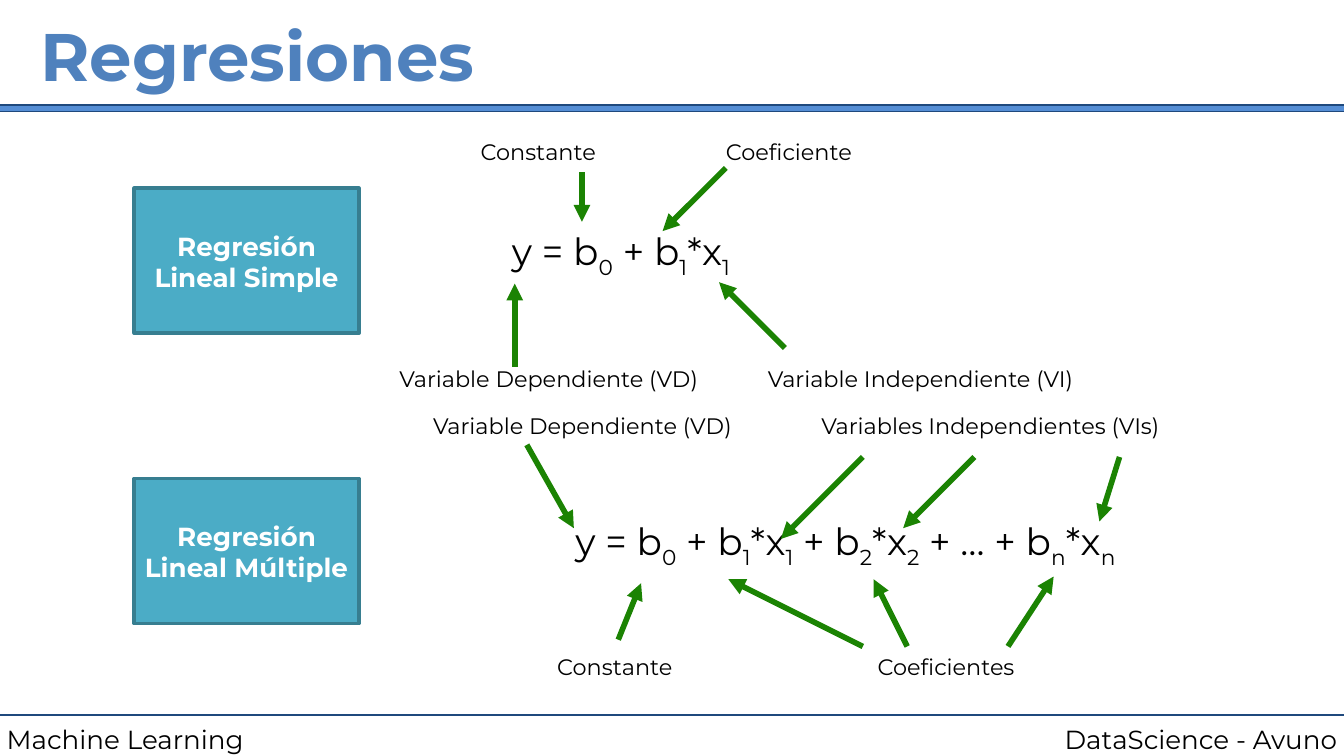
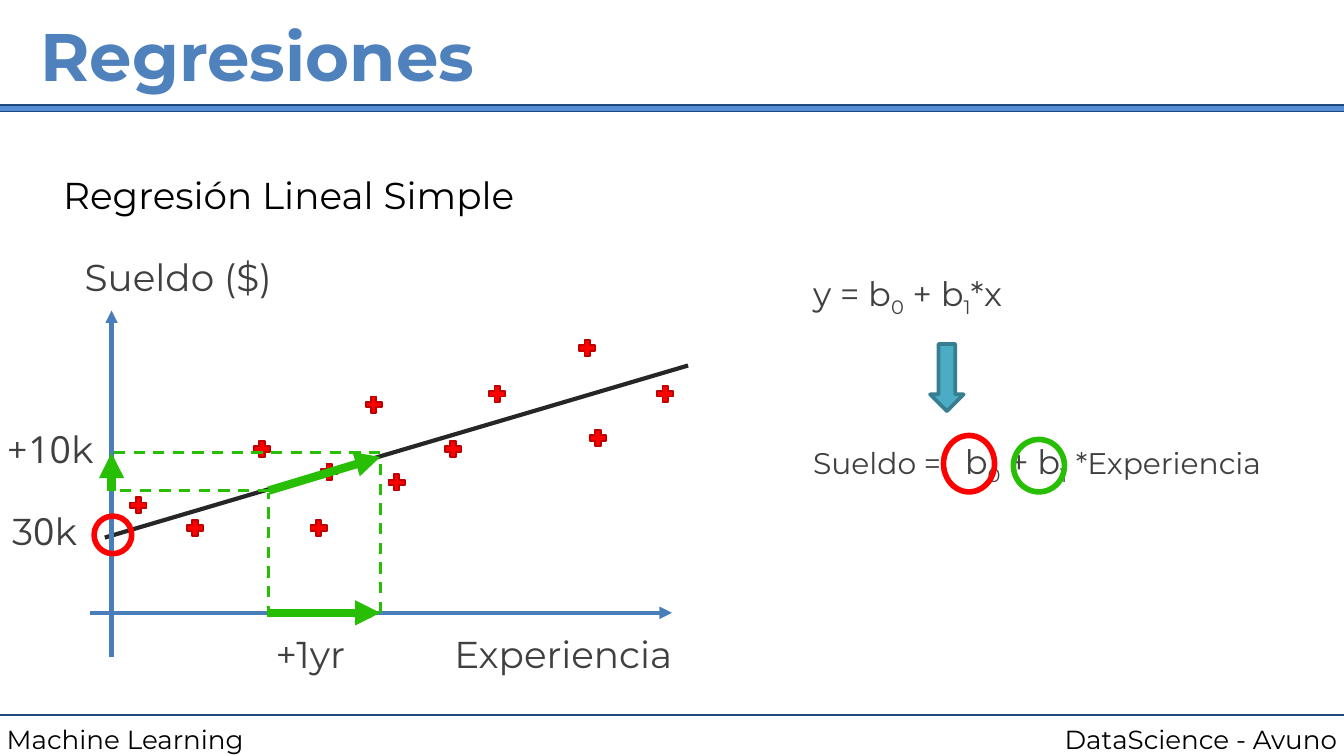
from dataclasses import dataclass
from lxml import etree
from pptx import Presentation
from pptx.dml.color import RGBColor
from pptx.enum.dml import MSO_LINE
from pptx.enum.shapes import MSO_CONNECTOR, MSO_SHAPE
from pptx.enum.text import MSO_ANCHOR, PP_ALIGN
from pptx.oxml.ns import qn
from pptx.util import Inches, Pt


@dataclass(frozen=True)
class Theme:
    """Colours, fonts and type sizes of the deck."""
    font: str = "Montserrat"
    digit_font: str = "Open Sans"
    black: str = "000000"
    white: str = "FFFFFF"
    gray: str = "404040"
    title: str = "4F81BD"
    band: str = "558ED5"
    navy: str = "1F497D"
    teal: str = "4BACC6"
    teal_edge: str = "377E90"
    arrow: str = "1B8303"
    axis: str = "4A7EBB"
    trend: str = "262626"
    point: str = "FF0000"
    point_edge: str = "C00000"
    green: str = "27BE04"
    title_size: int = 36
    heading_size: int = 20
    formula_size: int = 18
    term_size: int = 16
    box_size: int = 14
    label_size: int = 12


T = Theme()
LEFT, CENTER, RIGHT = PP_ALIGN.LEFT, PP_ALIGN.CENTER, PP_ALIGN.RIGHT
SLIDE_WIDTH = 10
SLIDE_HEIGHT = SLIDE_WIDTH * 9 / 16

# Content: boxes are (left, top, width, height); arrows are (x1, y1, x2, y2).
TITLE = "Regresiones"
FOOTERS = [
    ("DataScience - Avuno", (7.08, 5.33, 2.92, 0.34), RIGHT),
    ("Machine Learning", (0, 5.33, 3.25, 0.57), LEFT),
]

# In a formula, the character after "_" is a subscript.
MODELS = [
    dict(name="Regresión Lineal Simple", top=1.4,
         formula="y = b_0 + b_1*x_1", formula_box=(3.33, 1.65, 2.58, 0.49),
         labels=[("Variable Dependiente (VD)", 2.71, 2.67, 2.75),
                 ("Variable Independiente (VI)", 5.39, 2.67, 2.92),
                 ("Coeficiente", 5.08, 0.98, 1.58),
                 ("Constante", 2.92, 0.98, 2.17)],
         arrows=[(3.83, 2.73, 3.83, 2.11), (5.84, 2.59, 5.35, 2.1),
                 (5.4, 1.25, 4.93, 1.72), (4.33, 1.28, 4.33, 1.65)]),
    dict(name="Regresión Lineal Múltiple", top=3.56,
         formula="y = b_0 + b_1*x_1 + b_2*x_2 + … + b_n*x_n",
         formula_box=(3.25, 3.81, 6.08, 0.49),
         labels=[("Constante", 3.49, 4.81, 2.17),
                 ("Coeficientes", 6.25, 4.81, 1.58),
                 ("Variables Independientes (VIs)", 5.91, 3.02, 2.92),
                 ("Variable Dependiente (VD)", 2.96, 3.02, 2.75)],
         arrows=[(3.92, 3.31, 4.27, 3.93), (6.42, 3.4, 5.81, 4.01),
                 (7.25, 3.4, 6.72, 3.93), (8.33, 3.4, 8.18, 3.88),
                 (4.6, 4.76, 4.77, 4.34), (6.42, 4.81, 5.42, 4.31),
                 (6.75, 4.81, 6.5, 4.31), (7.5, 4.81, 7.84, 4.29)]),
]

SUBTITLE = ("Regresión Lineal Simple", (0.42, 1.23, 5.5, 0.43))
TREND = (0.78, 4, 5.12, 2.72)
AXES = [(0.83, 4.89, 0.83, 2.31), (0.67, 4.56, 5, 4.56)]
POINTS = [(1.95, 3.34), (2.78, 3.01), (3.37, 3.34), (3.7, 2.93),
          (4.45, 3.26), (2.37, 3.93), (4.37, 2.59), (1.45, 3.93),
          (2.45, 3.51), (4.95, 2.93), (2.95, 3.59), (1.03, 3.76)]
POINT_SIZE = 0.12
STEP_ARROWS = [(2, 4.56, 2.83, 4.56), (2, 3.65, 2.83, 3.4),
               (0.83, 3.65, 0.83, 3.37)]
GUIDES = [(2.83, 4.56, 2.83, 3.4), (2, 4.59, 2, 3.67),
          (2, 3.65, 0.83, 3.65), (2.83, 3.37, 0.83, 3.37)]
DIGITS = dict(font=T.digit_font)
CHART_LABELS = [
    ([("Sueldo ($)", {})], (0.58, 1.84, 2.08, 0.43)),
    ([("Experiencia", {})], (3.33, 4.65, 1.92, 0.43)),
    ([("+1yr", {})], (2, 4.65, 0.75, 0.43)),
    ([("+", {}), ("10", DIGITS), ("k", {})], (0, 3.12, 1.92, 0.43)),
    ([("3", {}), ("0", DIGITS), ("k", {})], (0.04, 3.73, 1.42, 0.43)),
]
GENERAL_FORMULA = ("y = b_0 + b_1*x", (6, 1.98, 2.08, 0.45))
SALARY_FORMULA_BOX = (6, 3.23, 4, 0.45)
DOWN_ARROW_BOX = (6.92, 2.56, 0.25, 0.5)
RINGS = [((0.7, 3.84, 0.28, 0.28), T.point),
         ((7.02, 3.24, 0.38, 0.42), T.point),
         ((7.54, 3.27, 0.38, 0.39), T.green)]


def rgb(color):
    """Turn a hex string into a colour."""
    return RGBColor.from_string(color)


def inches(values):
    """Turn a tuple of numbers into lengths."""
    return [Inches(value) for value in values]


def formula_runs(formula):
    """Split a formula into plain and subscript runs."""
    first, *rest = formula.split("_")
    runs = [(first, {})]
    for part in rest:
        runs.append((part[0], dict(baseline=-25000)))
        if part[1:]:
            runs.append((part[1:], {}))
    return runs


def write(frame, runs, size, color=T.black, bold=False, align=LEFT,
          anchor=MSO_ANCHOR.TOP):
    """Fill a text frame run by run; a run may override font, size,
    baseline or letter spacing."""
    frame.word_wrap = True
    frame.vertical_anchor = anchor
    frame.margin_left = frame.margin_right = Inches(0.05)
    frame.margin_top = frame.margin_bottom = Inches(0.05)
    paragraph = frame.paragraphs[0]
    paragraph.alignment = align
    for text, style in runs:
        run = paragraph.add_run()
        run.text = text
        run.font.name = style.get("font", T.font)
        run.font.size = Pt(style.get("size", size))
        run.font.bold = bold
        run.font.color.rgb = rgb(color)
        for attribute in ("baseline", "spc"):
            if attribute in style:
                run._r.get_or_add_rPr().set(attribute, str(style[attribute]))


def add_text(shapes, runs, box, size, **style):
    """Add a text box holding one string or a list of runs."""
    textbox = shapes.add_textbox(*inches(box))
    runs = [(runs, {})] if isinstance(runs, str) else runs
    write(textbox.text_frame, runs, size, **style)
    return textbox


def add_preset(shapes, kind, box, fill, edge, weight):
    """Add a preset shape; no fill when fill is None."""
    shape = shapes.add_shape(kind, *inches(box))
    shape.shadow.inherit = False
    if fill:
        shape.fill.solid()
        shape.fill.fore_color.rgb = rgb(fill)
    else:
        shape.fill.background()
    shape.line.color.rgb = rgb(edge)
    shape.line.width = Pt(weight)
    return shape


def add_line(shapes, ends, color, weight, arrow=False, dashed=False):
    """Add a straight line, optionally dashed or with an arrowhead."""
    line = shapes.add_connector(MSO_CONNECTOR.STRAIGHT, *inches(ends))
    line.line.color.rgb = rgb(color)
    line.line.width = Pt(weight)
    if dashed:
        line.line.dash_style = MSO_LINE.DASH
    properties = line.element.spPr
    if arrow:
        outline = properties.find(qn("a:ln"))
        etree.SubElement(outline, qn("a:tailEnd"), type="triangle")
    etree.SubElement(properties, qn("a:effectLst"))
    return line


def furnish_layout(layout, slide):
    """Draw the shared band and footer, then move them to the layout."""
    shapes = slide.shapes
    shared = [add_line(shapes, (0, 5.32, SLIDE_WIDTH, 5.32), T.navy, 1.5)]
    shared += [add_text(shapes, text, box, T.box_size, align=align)
               for text, box, align in FOOTERS]
    shared.append(add_preset(shapes, MSO_SHAPE.RECTANGLE,
                             (-0.04, 0.78, 10.08, 0.05),
                             T.band, T.navy, 0.75))
    for number, part in enumerate(shared, start=100):
        part.element.xpath(".//p:cNvPr")[0].set("id", str(number))
        layout.shapes.element.append(part.element)


def set_title(slide):
    """Place and fill the title placeholder."""
    title = slide.shapes.title
    title.left, title.top, title.width, title.height = inches(
        (0.25, 0, 9.5, 0.81))
    write(title.text_frame, [(TITLE, {})], T.title_size, T.title, bold=True,
          anchor=MSO_ANCHOR.MIDDLE)


def build_models(slide):
    """Show each model as a name box, a formula and labelled arrows."""
    shapes = slide.shapes
    for model in MODELS:
        card = shapes.add_group_shape().shapes
        add_preset(card, MSO_SHAPE.RECTANGLE, (1, model["top"], 1.67, 1.08),
                   T.teal, T.teal_edge, 2)
        add_text(card, model["name"], (1, model["top"] + 0.26, 1.67, 0.57),
                 T.box_size, color=T.white, bold=True, align=CENTER,
                 anchor=MSO_ANCHOR.MIDDLE)
        add_text(shapes, formula_runs(model["formula"]),
                 model["formula_box"], T.heading_size, align=CENTER)
        for ends in model["arrows"]:
            add_line(shapes, ends, T.arrow, 3, arrow=True)
        for text, left, top, width in model["labels"]:
            add_text(shapes, text, (left, top, width, 0.29), T.label_size,
                     align=CENTER)


def build_example(slide):
    """Sketch salary against experience, with its formula beside it."""
    shapes = slide.shapes
    add_text(shapes, *SUBTITLE, T.heading_size)
    add_line(shapes, TREND, T.trend, 2.25)
    for ends in AXES:
        add_line(shapes, ends, T.axis, 2.25, arrow=True)
    for x, y in POINTS:
        corner = (x - POINT_SIZE / 2, y - POINT_SIZE / 2)
        cross = add_preset(shapes, MSO_SHAPE.CROSS,
                           (*corner, POINT_SIZE, POINT_SIZE),
                           T.point, T.point_edge, 1)
        cross.adjustments[0] = 0.33

    formula, box = GENERAL_FORMULA
    add_text(shapes, formula_runs(formula), box, T.formula_size, color=T.gray)
    add_preset(shapes, MSO_SHAPE.DOWN_ARROW, DOWN_ARROW_BOX,
               T.teal, T.teal_edge, 2)
    term = dict(size=T.term_size)
    salary = [("Sueldo =", term), (" ", dict(term, spc=840)),
              *formula_runs("b_0 + b_1 "), ("*Experiencia", term)]
    add_text(shapes, salary, SALARY_FORMULA_BOX, T.formula_size, color=T.gray)

    for ends in STEP_ARROWS:
        add_line(shapes, ends, T.green, 4.5, arrow=True)
    for ends in GUIDES:
        add_line(shapes, ends, T.green, 1.5, dashed=True)
    for box, color in RINGS:
        add_preset(shapes, MSO_SHAPE.OVAL, box, None, color, 3)
    for runs, box in CHART_LABELS:
        add_text(shapes, runs, box, T.heading_size, color=T.gray)


def main():
    """Build and save the deck."""
    deck = Presentation()
    deck.slide_width = Inches(SLIDE_WIDTH)
    deck.slide_height = Inches(SLIDE_HEIGHT)
    layout = deck.slide_layouts[5]
    for number, build in enumerate((build_models, build_example)):
        slide = deck.slides.add_slide(layout)
        if number == 0:
            furnish_layout(layout, slide)
        set_title(slide)
        build(slide)
    deck.save("out.pptx")


main()
